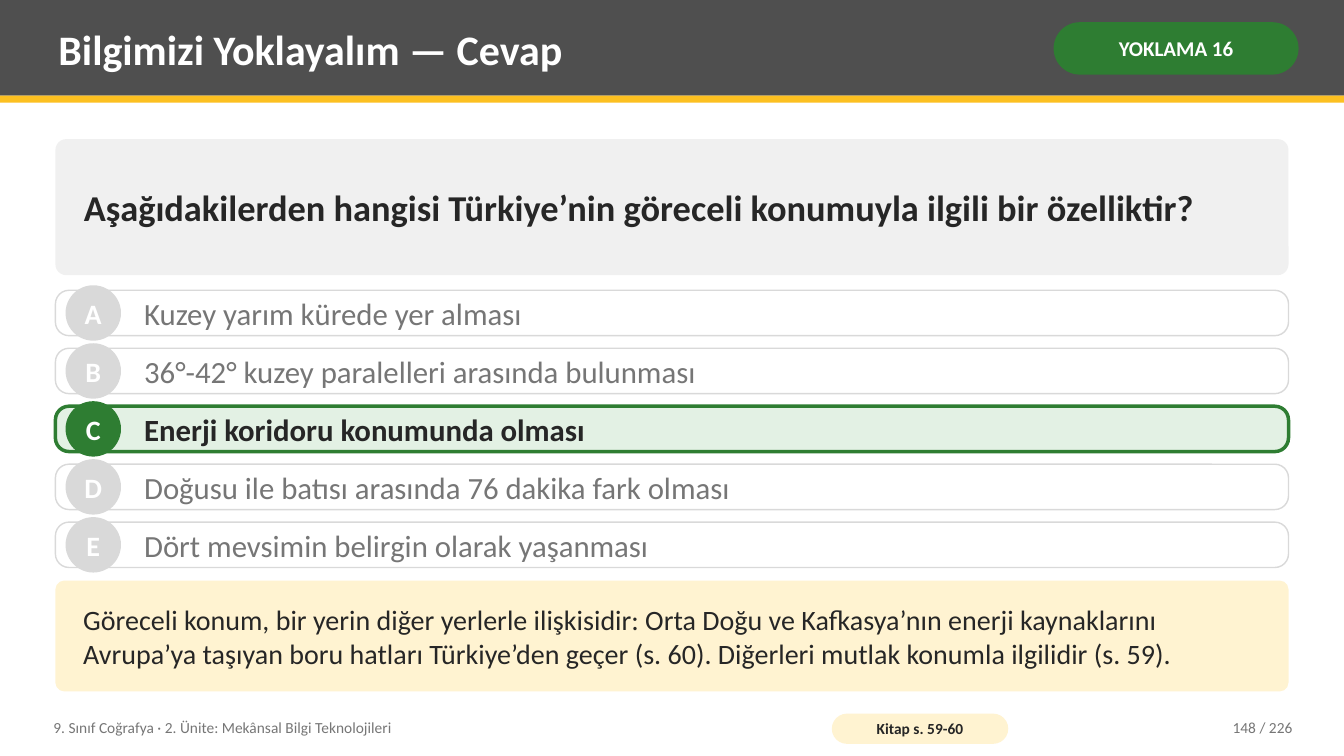
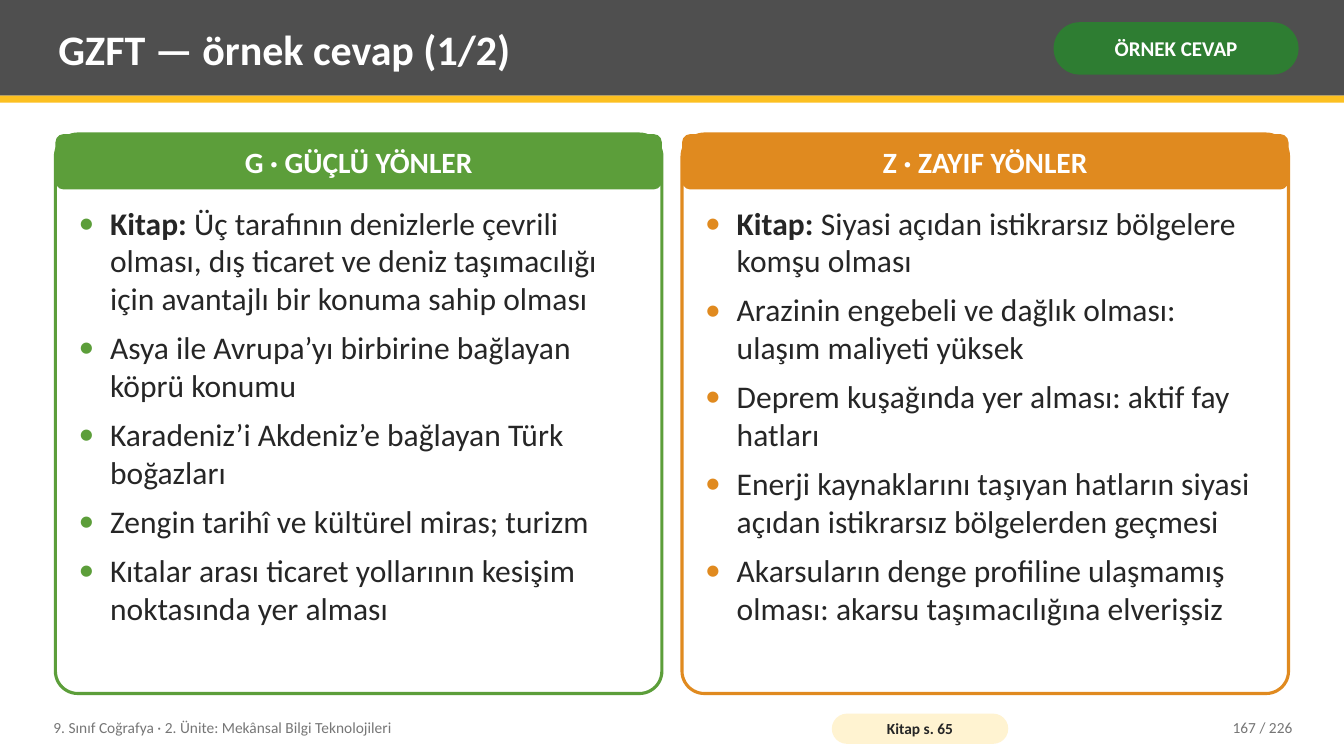
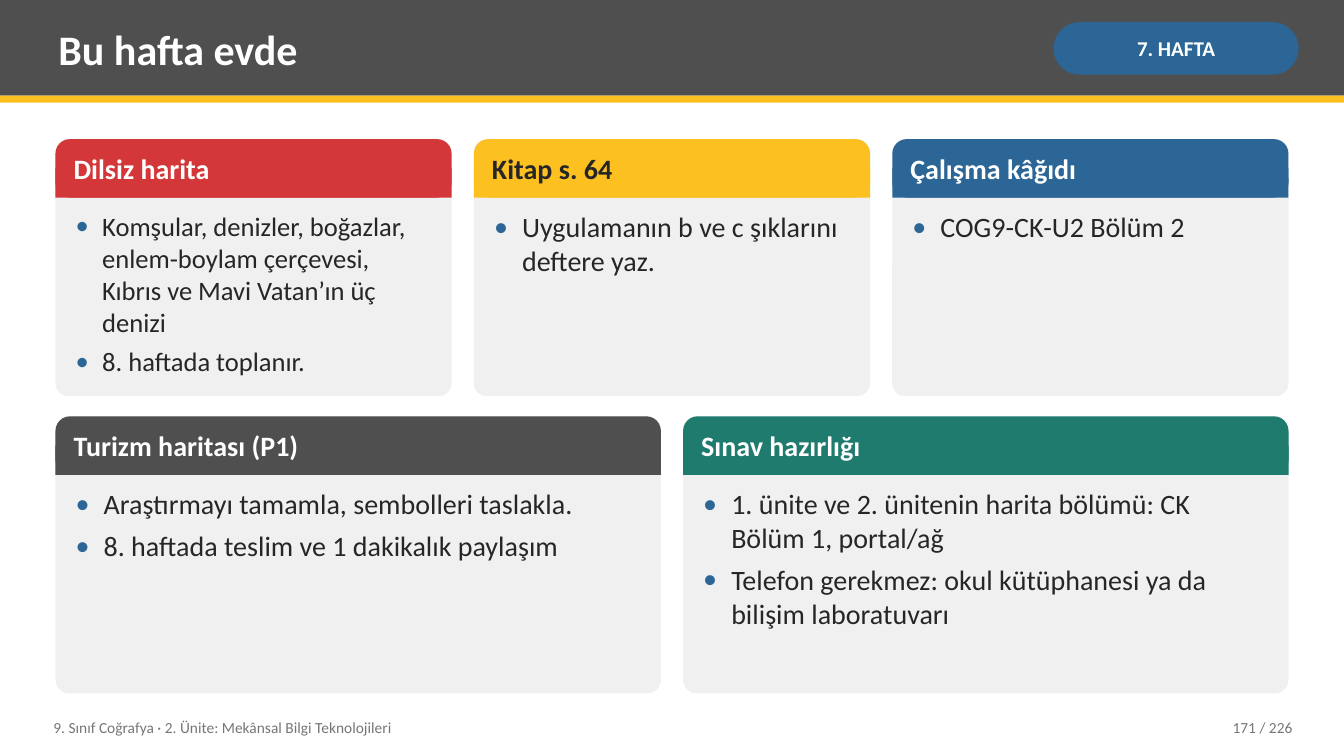
import pptx
import pptx.util
from lxml import etree
from pptx.dml.color import RGBColor
from pptx.enum.shapes import MSO_SHAPE
from pptx.enum.text import MSO_ANCHOR, PP_ALIGN
from pptx.oxml.ns import qn
from pptx.util import Inches

WHITE = RGBColor(0xFF, 0xFF, 0xFF)
INK = RGBColor(0x26, 0x26, 0x26)
DARK = RGBColor(0x4F, 0x4F, 0x4F)
MUTED = RGBColor(0x76, 0x76, 0x76)
SILVER = RGBColor(0xD9, 0xD9, 0xD9)
PALE = RGBColor(0xF0, 0xF0, 0xF0)
YELLOW = RGBColor(0xFC, 0xC0, 0x21)
CREAM = RGBColor(0xFF, 0xF3, 0xD1)
GREEN = RGBColor(0x2E, 0x7D, 0x32)
MINT = RGBColor(0xE3, 0xF1, 0xE4)
LEAF = RGBColor(0x5C, 0x9E, 0x3A)
ORANGE = RGBColor(0xE0, 0x8A, 0x1F)
BLUE = RGBColor(0x2C, 0x66, 0x96)
RED = RGBColor(0xD3, 0x37, 0x3A)
TEAL = RGBColor(0x1E, 0x7B, 0x6E)

FONT = "Calibri"
RECT, ROUND, OVAL = MSO_SHAPE.RECTANGLE, MSO_SHAPE.ROUNDED_RECTANGLE, MSO_SHAPE.OVAL
LEFT, CENTER, RIGHT = PP_ALIGN.LEFT, PP_ALIGN.CENTER, PP_ALIGN.RIGHT
MIDDLE, TOP = MSO_ANCHOR.MIDDLE, MSO_ANCHOR.TOP
EDGE, SPAN = 0.55, 12.23


def box(slide, kind, x, y, w, h, fill=None, adj=None, line=None, weight=1):
    """Add a preset shape, or a text box when kind is None."""
    area = [Inches(n) for n in (x, y, w, h)]
    if kind is None:
        return slide.shapes.add_textbox(*area)
    shape = slide.shapes.add_shape(kind, *area)
    shape.shadow.inherit = False
    shape.fill.solid()
    shape.fill.fore_color.rgb = fill
    if adj is not None:
        shape.adjustments[0] = adj
    if line is None:
        shape.line.fill.background()
    else:
        shape.line.color.rgb = line
        shape.line.width = pptx.util.Pt(weight)
    return shape


def write(shape, lines, size, color, bold=False, align=LEFT, anchor=MIDDLE,
          inset=(0.08, 0.04), wrap=True, dot=None, gap=0):
    """Fill a shape with paragraphs; a line given as a pair has a bold lead."""
    frame = shape.text_frame
    frame.word_wrap = wrap
    frame.vertical_anchor = anchor
    frame.margin_left = frame.margin_right = Inches(inset[0])
    frame.margin_top = frame.margin_bottom = Inches(inset[1])
    for i, text in enumerate(lines):
        para = frame.paragraphs[0] if i == 0 else frame.add_paragraph()
        para.alignment = align
        if dot is not None:
            props = para._p.get_or_add_pPr()
            props.set("marL", str(pptx.util.Pt(size)))
            props.set("indent", str(-pptx.util.Pt(size)))
            tint = etree.SubElement(props, qn("a:buClr"))
            etree.SubElement(tint, qn("a:srgbClr"), val=str(dot))
            etree.SubElement(props, qn("a:buFont"), typeface=FONT)
            etree.SubElement(props, qn("a:buChar"), char="•")
        if gap and i < len(lines) - 1:
            para.space_after = pptx.util.Pt(gap)
        para.font.name = FONT
        para.font.size = pptx.util.Pt(size)
        para.font.bold = bold
        para.font.color.rgb = color
        if isinstance(text, tuple):
            lead, text = text
            run = para.add_run()
            run.text = lead
            run.font.bold = True
        para.add_run().text = text


deck = pptx.Presentation()
deck.slide_width, deck.slide_height = Inches(13.33), Inches(7.5)

# Shared header and footer
heads = [
    ("Bilgimizi Yoklayalım — Cevap", "YOKLAMA 16", GREEN, "Kitap s. 59-60", 148),
    ("GZFT — örnek cevap (1/2)", "ÖRNEK CEVAP", GREEN, "Kitap s. 65", 167),
    ("Bu hafta evde", "7. HAFTA", BLUE, None, 171),
]
for title, tag, tint, source, page in heads:
    slide = deck.slides.add_slide(deck.slide_layouts[6])
    box(slide, RECT, 0, 0, 13.33, 0.95, DARK)
    box(slide, RECT, 0, 0.95, 13.33, 0.07, YELLOW)
    write(box(slide, None, 0.5, 0.07, 9.75, 0.82), [title], 30, WHITE, True)
    write(box(slide, ROUND, 10.45, 0.22, 2.43, 0.52, tint, 0.5), [tag],
          15, WHITE, True, CENTER, inset=(0.05, 0.02))
    write(box(slide, None, 0.45, 7.04, 7.6, 0.36),
          ["9. Sınıf Coğrafya · 2. Ünite: Mekânsal Bilgi Teknolojileri"], 11, MUTED)
    if source:
        write(box(slide, ROUND, 8.25, 7.08, 1.75, 0.3, CREAM, 0.5), [source],
              11, INK, True, CENTER, inset=(0.04, 0))
    write(box(slide, None, 11.3, 7.04, 1.6, 0.36), [f"{page} / 226"],
          11, MUTED, align=RIGHT)

quiz, swot, home = deck.slides

# Quiz answer
write(box(quiz, ROUND, EDGE, 1.38, SPAN, 1.35, PALE, 0.08),
      ["Aşağıdakilerden hangisi Türkiye’nin göreceli konumuyla ilgili bir özelliktir?"],
      26, INK, True, inset=(0.25, 0.08))
choices = [
    "Kuzey yarım kürede yer alması",
    "36°-42° kuzey paralelleri arasında bulunması",
    "Enerji koridoru konumunda olması",
    "Doğusu ile batısı arasında 76 dakika fark olması",
    "Dört mevsimin belirgin olarak yaşanması",
]
for i, (key, choice) in enumerate(zip("ABCDE", choices)):
    y = 2.88 + i * 0.575
    right = key == "C"
    tint = GREEN if right else SILVER
    box(quiz, ROUND, EDGE, y, SPAN, 0.45, MINT if right else WHITE, 0.3,
        tint, 2.5 if right else 1)
    write(box(quiz, OVAL, 0.65, y - 0.05, 0.55, 0.55, tint), [key],
          20, WHITE, True, CENTER, inset=(0, 0), wrap=False)
    write(box(quiz, None, 1.35, y, 11.23, 0.45), [choice],
          22, INK if right else MUTED, right)
write(box(quiz, ROUND, EDGE, 5.76, SPAN, 1.1, CREAM, 0.08),
      ["Göreceli konum, bir yerin diğer yerlerle ilişkisidir: Orta Doğu ve "
       "Kafkasya’nın enerji kaynaklarını Avrupa’ya taşıyan boru hatları "
       "Türkiye’den geçer (s. 60). Diğerleri mutlak konumla ilgilidir (s. 59)."],
      20, INK, inset=(0.25, 0.08))

# Strengths and weaknesses
panels = [
    ("G · GÜÇLÜ YÖNLER", LEAF, [
        ("Kitap:", " Üç tarafının denizlerle çevrili olması, dış ticaret ve deniz "
                   "taşımacılığı için avantajlı bir konuma sahip olması"),
        "Asya ile Avrupa’yı birbirine bağlayan köprü konumu",
        "Karadeniz’i Akdeniz’e bağlayan Türk boğazları",
        "Zengin tarihî ve kültürel miras; turizm",
        "Kıtalar arası ticaret yollarının kesişim noktasında yer alması",
    ]),
    ("Z · ZAYIF YÖNLER", ORANGE, [
        ("Kitap:", " Siyasi açıdan istikrarsız bölgelere komşu olması"),
        "Arazinin engebeli ve dağlık olması: ulaşım maliyeti yüksek",
        "Deprem kuşağında yer alması: aktif fay hatları",
        "Enerji kaynaklarını taşıyan hatların siyasi açıdan istikrarsız "
        "bölgelerden geçmesi",
        "Akarsuların denge profiline ulaşmamış olması: akarsu taşımacılığına "
        "elverişsiz",
    ]),
]
space = 0.2
wide = (SPAN - space) / 2
for i, (name, tint, points) in enumerate(panels):
    x = EDGE + i * (wide + space)
    box(swot, ROUND, x, 1.33, wide, 5.55, WHITE, 0.04, tint, 2.25)
    write(box(swot, ROUND, x, 1.33, wide, 0.55, tint, 0.15), [name],
          21, WHITE, True, CENTER, inset=(0.14, 0))
    write(box(swot, None, x + 0.15, 1.98, wide - 0.3, 4.73), points,
          22.5, INK, anchor=TOP, dot=tint, gap=8)

# Homework cards
rows = [
    (1.38, 2.55, [
        ("Dilsiz harita", RED, WHITE, 19, [
            "Komşular, denizler, boğazlar, enlem-boylam çerçevesi, Kıbrıs ve "
            "Mavi Vatan’ın üç denizi",
            "8. haftada toplanır."]),
        ("Kitap s. 64", YELLOW, INK, 20,
         ["Uygulamanın b ve c şıklarını deftere yaz."]),
        ("Çalışma kâğıdı", BLUE, WHITE, 20, ["COG9-CK-U2 Bölüm 2"]),
    ]),
    (4.13, 2.75, [
        ("Turizm haritası (P1)", DARK, WHITE, 20, [
            "Araştırmayı tamamla, sembolleri taslakla.",
            "8. haftada teslim ve 1 dakikalık paylaşım"]),
        ("Sınav hazırlığı", TEAL, WHITE, 20, [
            "1. ünite ve 2. ünitenin harita bölümü: CK Bölüm 1, portal/ağ",
            "Telefon gerekmez: okul kütüphanesi ya da bilişim laboratuvarı"]),
    ]),
]
space = 0.22
for y, high, cards in rows:
    wide = (SPAN - space * (len(cards) - 1)) / len(cards)
    for i, (name, tint, ink, size, points) in enumerate(cards):
        x = EDGE + i * (wide + space)
        box(home, ROUND, x, y, wide, high, PALE, 0.05)
        box(home, ROUND, x, y, wide, 0.58, tint, 0.25)
        box(home, RECT, x, y + 0.29, wide, 0.29, tint)
        write(box(home, None, x + 0.1, y, wide - 0.2, 0.58), [name], 20, ink, True)
        write(box(home, None, x + 0.12, y + 0.66, wide - 0.24, high - 0.74), points,
              size, INK, anchor=TOP, dot=BLUE, gap=size * 0.3)

deck.save("out.pptx")
